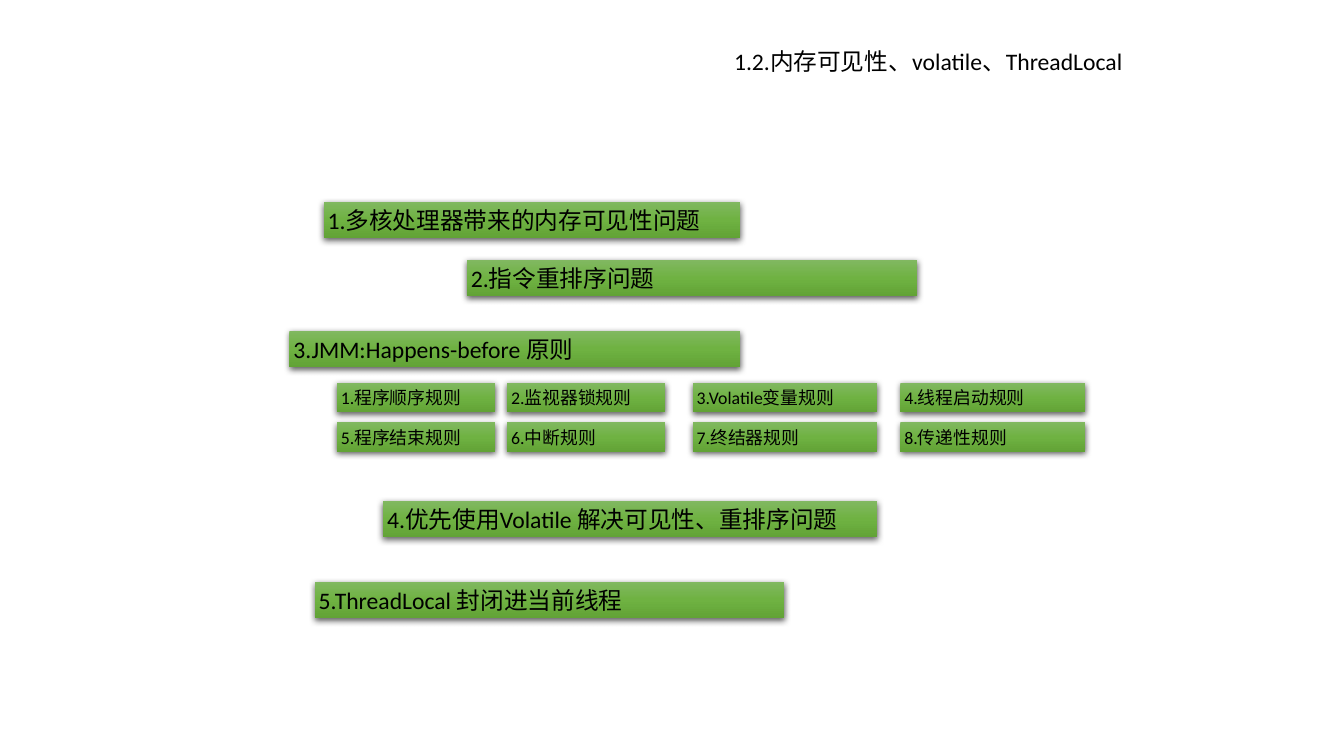
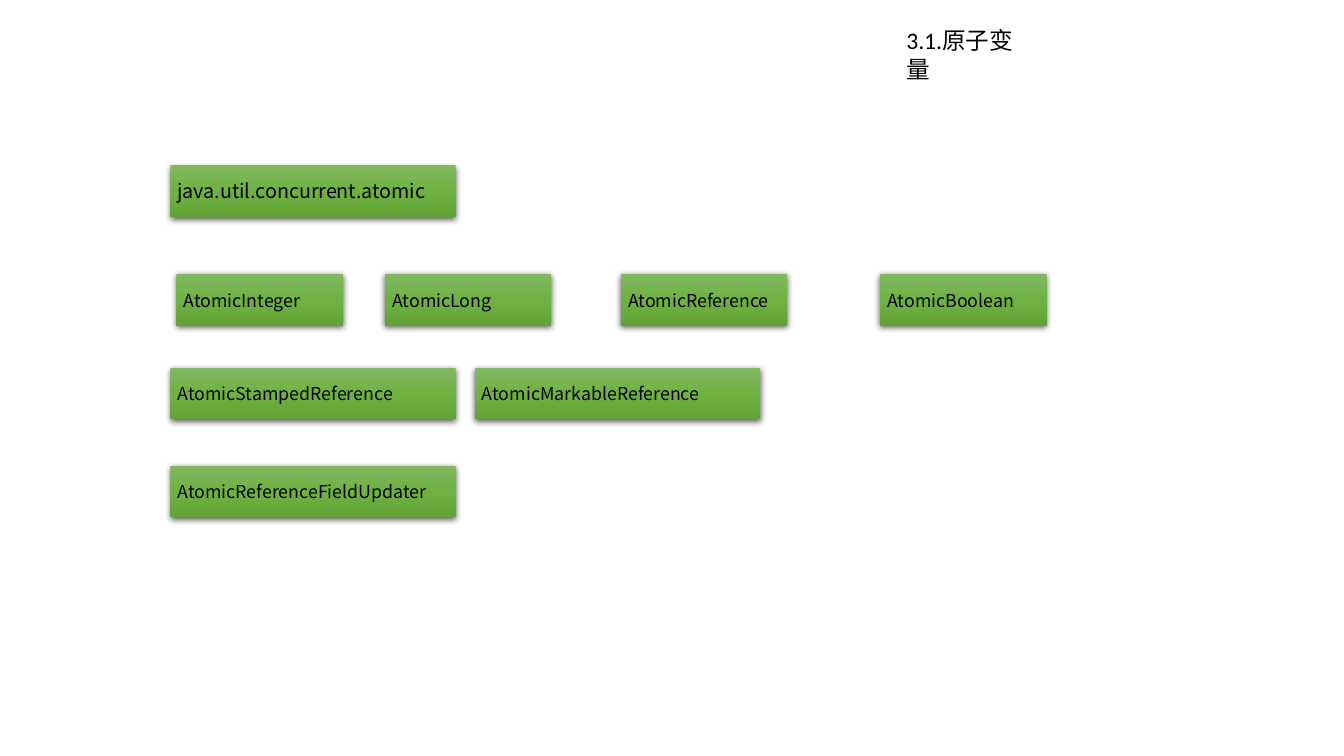
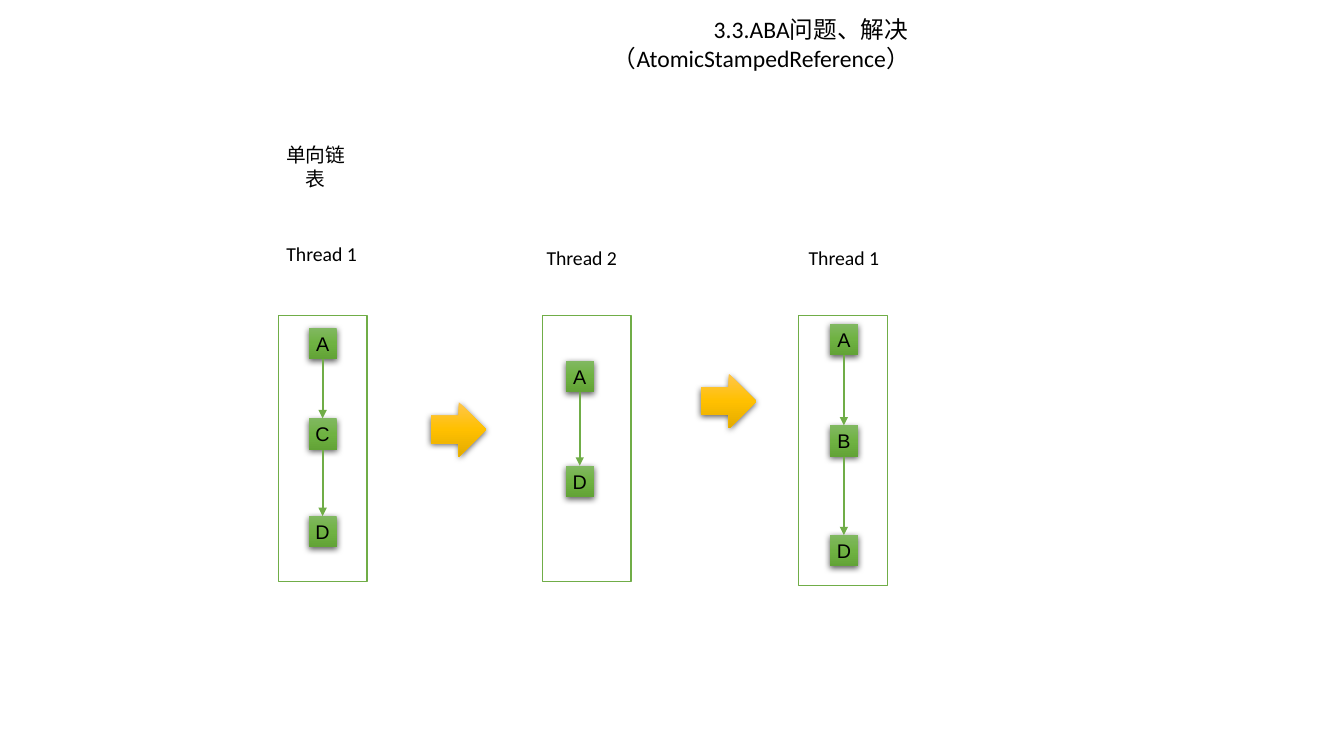
from itertools import pairwise

from lxml import etree
from pptx import Presentation
from pptx.dml.color import RGBColor
from pptx.enum.shapes import MSO_CONNECTOR as CONN, MSO_SHAPE as SHAPE
from pptx.enum.text import MSO_ANCHOR as ANCHOR, PP_ALIGN as ALIGN
from pptx.oxml.ns import qn
from pptx.util import Inches, Pt

BLACK = RGBColor(0x00, 0x00, 0x00)
WHITE = RGBColor(0xFF, 0xFF, 0xFF)
GREEN = RGBColor(0x70, 0xAD, 0x47)
GREENS = [RGBColor(0x81, 0xB8, 0x61), RGBColor(0x6F, 0xB2, 0x42), RGBColor(0x62, 0xA3, 0x36)]
GOLDS = [RGBColor(0xFF, 0xC6, 0x4B), RGBColor(0xFF, 0xC0, 0x00), RGBColor(0xE3, 0xAB, 0x00)]
BODY, CODE, NODE = "Calibri", "Noto Sans CJK SC", "Arial"
LARGE, MEDIUM, SMALL = 16.9, 14.1, 12.7
NODE_W, NODE_H = 0.28, 0.31


def add_xml(parent, tag, **attrs):
    return etree.SubElement(parent, qn(tag), attrs)


def write(sp, text, size=LARGE, font=BODY, inset=0.04, inset_y=0.04, align=ALIGN.LEFT,
          anchor=ANCHOR.MIDDLE, wrap=True, indent=0):
    tf = sp.text_frame
    tf.word_wrap = wrap
    tf.vertical_anchor = anchor
    tf.margin_left = tf.margin_right = Inches(inset)
    tf.margin_top = tf.margin_bottom = Inches(inset_y)
    p = tf.paragraphs[0]
    p.alignment = align
    if indent:
        p._p.get_or_add_pPr().set("indent", str(Inches(indent)))
    r = p.add_run()
    r.text = text
    r.font.size, r.font.name = Pt(size), font
    r.font.color.rgb = BLACK


def add_text(slide, box, text, **fmt):
    write(slide.shapes.add_textbox(*map(Inches, box)), text, **fmt)


def add_raised(slide, box, colors=GREENS, kind=SHAPE.RECTANGLE):
    sp = slide.shapes.add_shape(kind, *map(Inches, box))
    sp.line.fill.background()
    sp.fill.gradient()
    sp.fill.gradient_angle = 270
    stops = sp._element.spPr.find(qn("a:gradFill")).find(qn("a:gsLst"))
    for old in list(stops):
        stops.remove(old)
    for pos, color in zip((0, 50000, 100000), colors):
        add_xml(add_xml(stops, "a:gs", pos=str(pos)), "a:srgbClr", val=str(color))
    sp.shadow.inherit = False
    effects = sp._element.spPr.find(qn("a:effectLst"))
    shadow = add_xml(effects, "a:outerShdw", blurRad=str(Pt(4.5)), dist=str(Pt(1.5)),
                     dir="5400000", algn="ctr", rotWithShape="0")
    add_xml(add_xml(shadow, "a:srgbClr", val=str(BLACK)), "a:alpha", val="63000")
    return sp


def add_label(slide, box, text, **fmt):
    write(add_raised(slide, box), text, **fmt)


def add_arrow(slide, x, top, bottom):
    line = slide.shapes.add_connector(CONN.STRAIGHT, *map(Inches, (x, top, x, bottom)))
    line.line.color.rgb = GREEN
    line.line.width = Pt(1.5)
    props = line._element.spPr
    add_xml(props.find(qn("a:ln")), "a:tailEnd", type="triangle")
    add_xml(props, "a:effectLst")


def add_rules(slide, left, top):
    columns = [(0, 1.57), (1.69, 1.57), (3.53, 1.83), (5.59, 1.83)]
    rules = ["1.程序顺序规则", "2.监视器锁规则", "3.Volatile变量规则", "4.线程启动规则",
             "5.程序结束规则", "6.中断规则", "7.终结器规则", "8.传递性规则"]
    for i, rule in enumerate(rules):
        dx, width = columns[i % 4]
        add_label(slide, (left + dx, top + i // 4 * 0.39, width, 0.29), rule, size=SMALL)


def add_thread(slide, left, top, height, label, label_pos, node_x, nodes):
    frame = slide.shapes.add_shape(SHAPE.RECTANGLE, *map(Inches, (left, top, 0.88, height)))
    frame.fill.solid()
    frame.fill.fore_color.rgb = WHITE
    frame.line.color.rgb = GREEN
    frame.line.width = Pt(1)
    frame.shadow.inherit = False
    dx, dy = label_pos
    add_text(slide, (left + dx, top + dy, 0.78, 0.31), label, size=MEDIUM,
             align=ALIGN.CENTER, wrap=False)
    x = left + node_x
    for name, y in nodes:
        add_label(slide, (x - NODE_W / 2, top + y, NODE_W, NODE_H), name, size=MEDIUM,
                  font=NODE, inset=0.07, align=ALIGN.CENTER, wrap=False)
    for (_, upper), (_, lower) in pairwise(nodes):
        add_arrow(slide, x, top + upper + NODE_H, top + lower)


def visibility_slide(slide):
    add_text(slide, (7.24, 0.43, 4.72, 0.36), "1.2.内存可见性、volatile、ThreadLocal")
    for left, top, width, topic in [
        (3.21, 2, 4.13, "1.多核处理器带来的内存可见性问题"),
        (4.63, 2.58, 4.47, "2.指令重排序问题"),
        (2.87, 3.28, 4.47, "3.JMM:Happens-before 原则"),
        (3.8, 4.97, 4.9, "4.优先使用Volatile 解决可见性、重排序问题"),
        (3.12, 5.77, 4.66, "5.ThreadLocal 封闭进当前线程"),
    ]:
        add_label(slide, (left, top, width, 0.36), topic)
    add_rules(slide, 3.34, 3.8)


def atomic_slide(slide):
    add_text(slide, (8.89, 0.21, 1.49, 0.68), "3.1.原子变量", inset=0.1, inset_y=0.05,
             anchor=ANCHOR.TOP)
    rows = [
        (1.64, 2.83, MEDIUM, [(1.69, "java.util.concurrent.atomic")]),
        (2.72, 1.65, SMALL, [(1.75, "AtomicInteger"), (3.82, "AtomicLong"),
                             (6.16, "AtomicReference"), (8.73, "AtomicBoolean")]),
        (3.65, 2.83, SMALL, [(1.69, "AtomicStampedReference"), (4.71, "AtomicMarkableReference")]),
        (4.62, 2.83, SMALL, [(1.69, "AtomicReferenceFieldUpdater")]),
    ]
    for top, width, size, cells in rows:
        for left, name in cells:
            add_label(slide, (left, top, width, 0.51), name, size=size, font=CODE, inset=0.07)


def aba_slide(slide):
    add_text(slide, (5.98, 0.1, 3.35, 0.68), "3.3.ABA问题、解决（AtomicStampedReference）",
             inset=0.1, inset_y=0.05, anchor=ANCHOR.TOP, indent=1)
    add_text(slide, (2.7, 1.5, 0.86, 0.31), "单向链表", size=MEDIUM, align=ALIGN.CENTER, wrap=False)
    add_thread(slide, 2.76, 3.13, 2.64, "Thread 1", (0.04, -0.77), 0.44,
               [("A", 0.12), ("C", 1.02), ("D", 1.99)])
    add_thread(slide, 5.38, 3.13, 2.64, "Thread 2", (0, -0.73), 0.37,
               [("A", 0.45), ("D", 1.49)])
    add_thread(slide, 7.92, 3.13, 2.68, "Thread 1", (0.06, -0.73), 0.45,
               [("A", 0.08), ("B", 1.09), ("D", 2.18)])
    for left, top in [(4.27, 3.99), (6.95, 3.71)]:
        add_raised(slide, (left, top, 0.55, 0.54), GOLDS, SHAPE.RIGHT_ARROW)


def main():
    prs = Presentation()
    prs.slide_width, prs.slide_height = Inches(13.33), Inches(7.5)
    for build in (visibility_slide, atomic_slide, aba_slide):
        build(prs.slides.add_slide(prs.slide_layouts[6]))
    prs.save("out.pptx")


if __name__ == "__main__":
    main()
